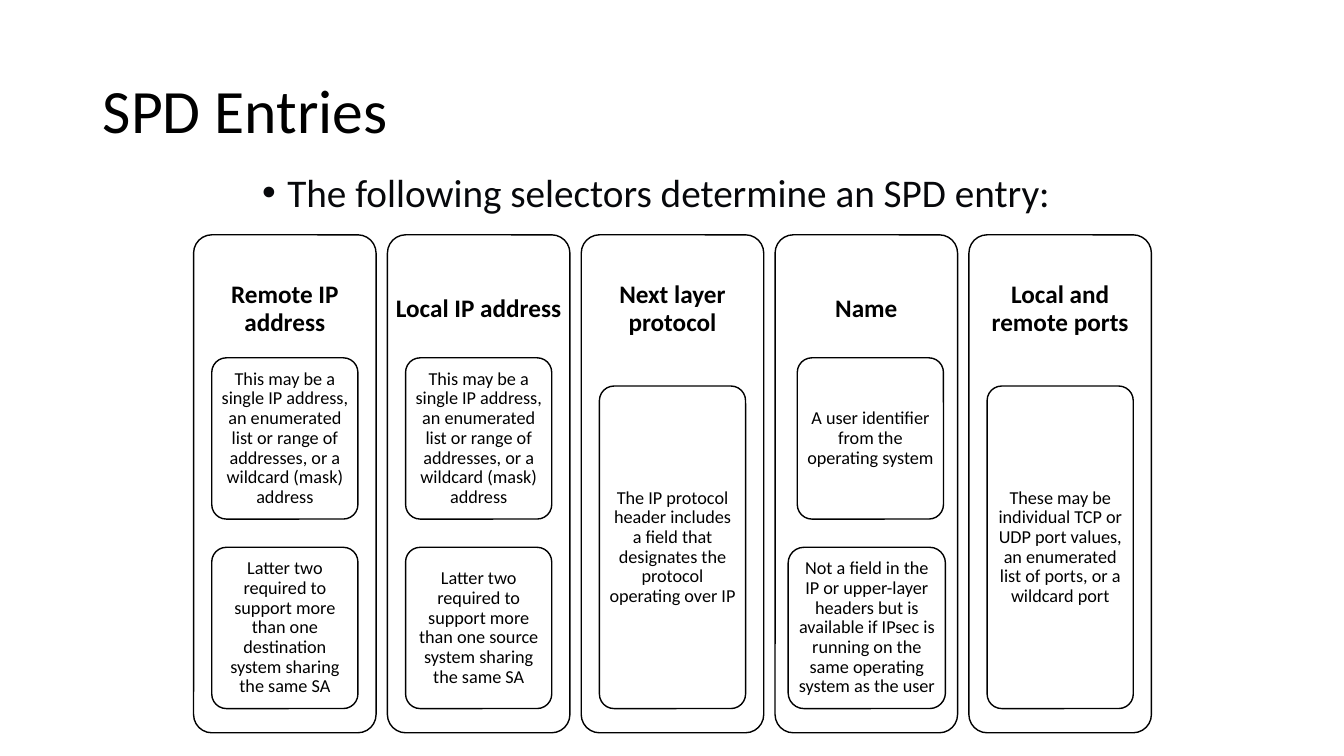
from pptx import Presentation
from pptx.dml.color import RGBColor
from pptx.enum.shapes import MSO_SHAPE as Shape
from pptx.enum.text import MSO_ANCHOR as Anchor, MSO_AUTO_SIZE as Fit, PP_ALIGN as Align
from pptx.util import Inches, Pt

BLACK = RGBColor(0x00, 0x00, 0x00)
INK = RGBColor(0x07, 0x08, 0x0B)
WHITE = RGBColor(0xFF, 0xFF, 0xFF)

LEFT, TOP, STEP = 1.92, 2.33, 1.9225
WIDE, HIGH, HEAD = 1.81, 4.94, 1.48
SLOT, BASE = 1.45, 7.03
TALL, GAP = 1.6, 0.28
MID = (WIDE - SLOT) / 2

RANGE = ("This may be a single IP address, an enumerated list or range of "
         "addresses, or a wildcard (mask) address")
SHARE = "Latter two required to support more than one {} system sharing the same SA"
CARDS = [
    ("Remote IP address", [(RANGE, MID, SLOT),
                           (SHARE.format("destination"), MID, SLOT)]),
    ("Local IP address", [(RANGE, MID, SLOT),
                          (SHARE.format("source"), MID, SLOT)]),
    ("Next layer protocol", [
        ("The IP protocol header includes a field that designates the protocol "
         "operating over IP", MID, SLOT)]),
    ("Name", [
        ("A user identifier from the operating system", 0.22, SLOT),
        ("Not a field in the IP or upper-layer headers but is available if IPsec "
         "is running on the same operating system as the user", 0.13, 1.56)]),
    ("Local and remote ports", [
        ("These may be individual TCP or UDP port values, an enumerated list of "
         "ports, or a wildcard port", MID, SLOT)]),
]


def write(shape, text, size, color, align, bold=False, **frame):
    body = shape.text_frame
    body.text = text
    for key, val in {"word_wrap": True, "auto_size": Fit.NONE, **frame}.items():
        setattr(body, key, val)
    para = body.paragraphs[0]
    para.alignment = align
    para.line_spacing = 0.9
    font = para.runs[0].font
    for key, val in {"name": "Calibri", "size": Pt(size), "bold": bold}.items():
        setattr(font, key, val)
    font.color.rgb = color
    return para


def panel(x, y, w, h, text, size, pad, bold=False):
    box = slide.shapes.add_shape(Shape.ROUNDED_RECTANGLE,
                                 Inches(x), Inches(y), Inches(w), Inches(h))
    box.adjustments[0] = 0.1
    box.shadow.inherit = False
    box.fill.solid()
    box.fill.fore_color.rgb = WHITE
    box.line.color.rgb = BLACK
    box.line.width = Pt(1)
    sides = ("margin_left", "margin_top", "margin_right", "margin_bottom")
    frame = {side: Inches(val) for side, val in zip(sides, pad)}
    write(box, text, size, BLACK, Align.CENTER, bold,
          vertical_anchor=Anchor.MIDDLE, **frame)


deck = Presentation()
deck.slide_width, deck.slide_height = Inches(13.33), Inches(7.5)
slide = deck.slides.add_slide(deck.slide_layouts[1])
title, intro = slide.placeholders

for holder, place in ((title, (0.92, 0.4, 11.5, 1.45)), (intro, (2.5, 1.67, 8.29, 4.7))):
    for key, val in zip(("left", "top", "width", "height"), place):
        setattr(holder, key, Inches(val))

write(title, "SPD Entries", 44, BLACK, Align.LEFT, vertical_anchor=Anchor.MIDDLE)
lead = write(intro, "The following selectors determine an SPD entry:", 28, INK,
             Align.LEFT, vertical_anchor=Anchor.TOP)
lead.space_before = Pt(10)
props = lead._p.get_or_add_pPr()
for key, val in {"marL": Inches(0.25), "indent": Inches(-0.25)}.items():
    props.set(key, str(val))

for col, (name, notes) in enumerate(CARDS):
    x = LEFT + col * STEP
    panel(x, TOP, WIDE, HIGH, name, 18, (0.02, 0.02, 0.02, HIGH - HEAD + 0.02), True)
    count = len(notes)
    high = TALL if count == 2 else 2 * TALL
    for row, (text, shift, wide) in enumerate(notes):
        y = BASE - (count - row) * high - (count - row - 1) * GAP
        panel(x + shift, y, wide, high, text, 13, (0.04, 0.03, 0.04, 0.03))

deck.save("out.pptx")
